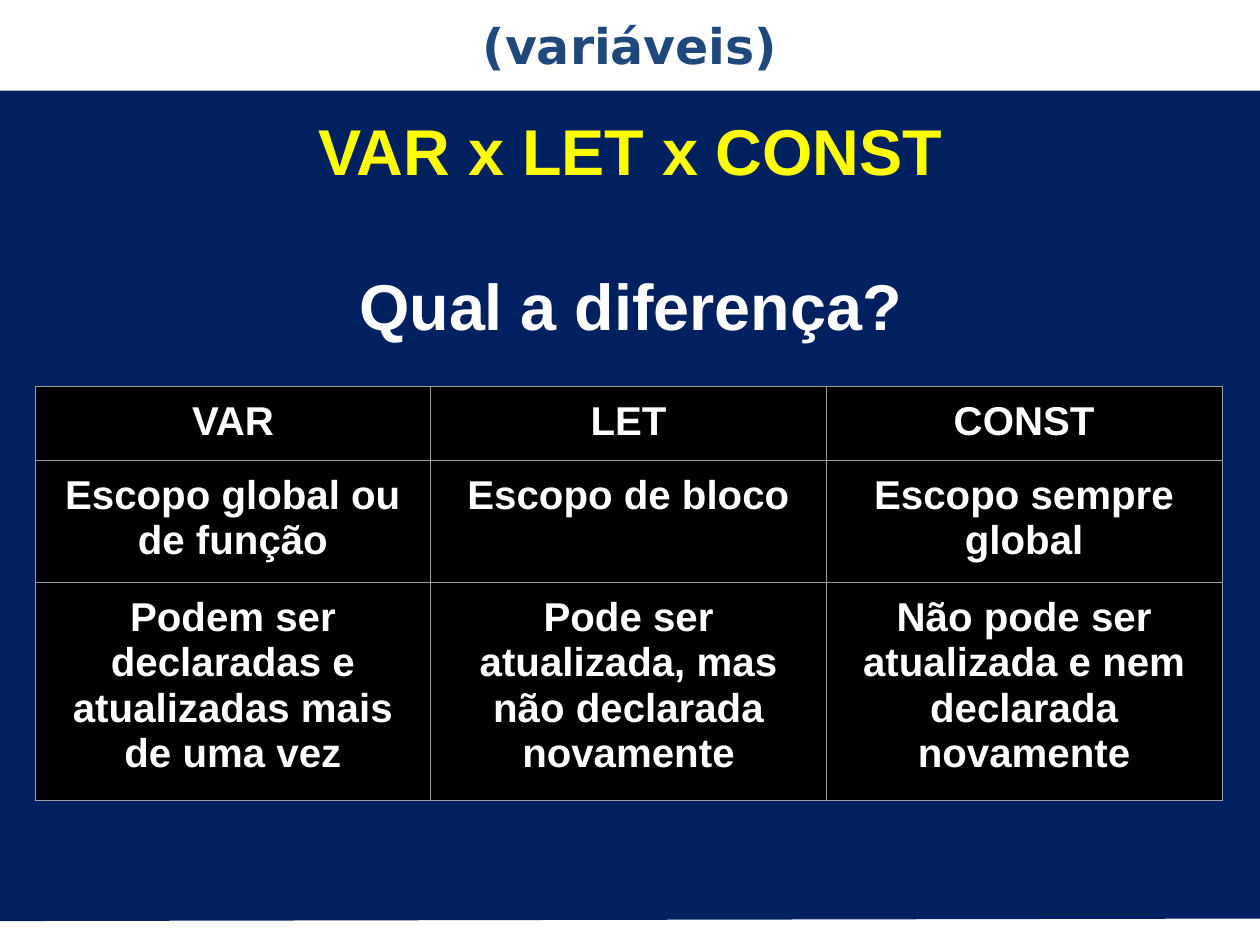
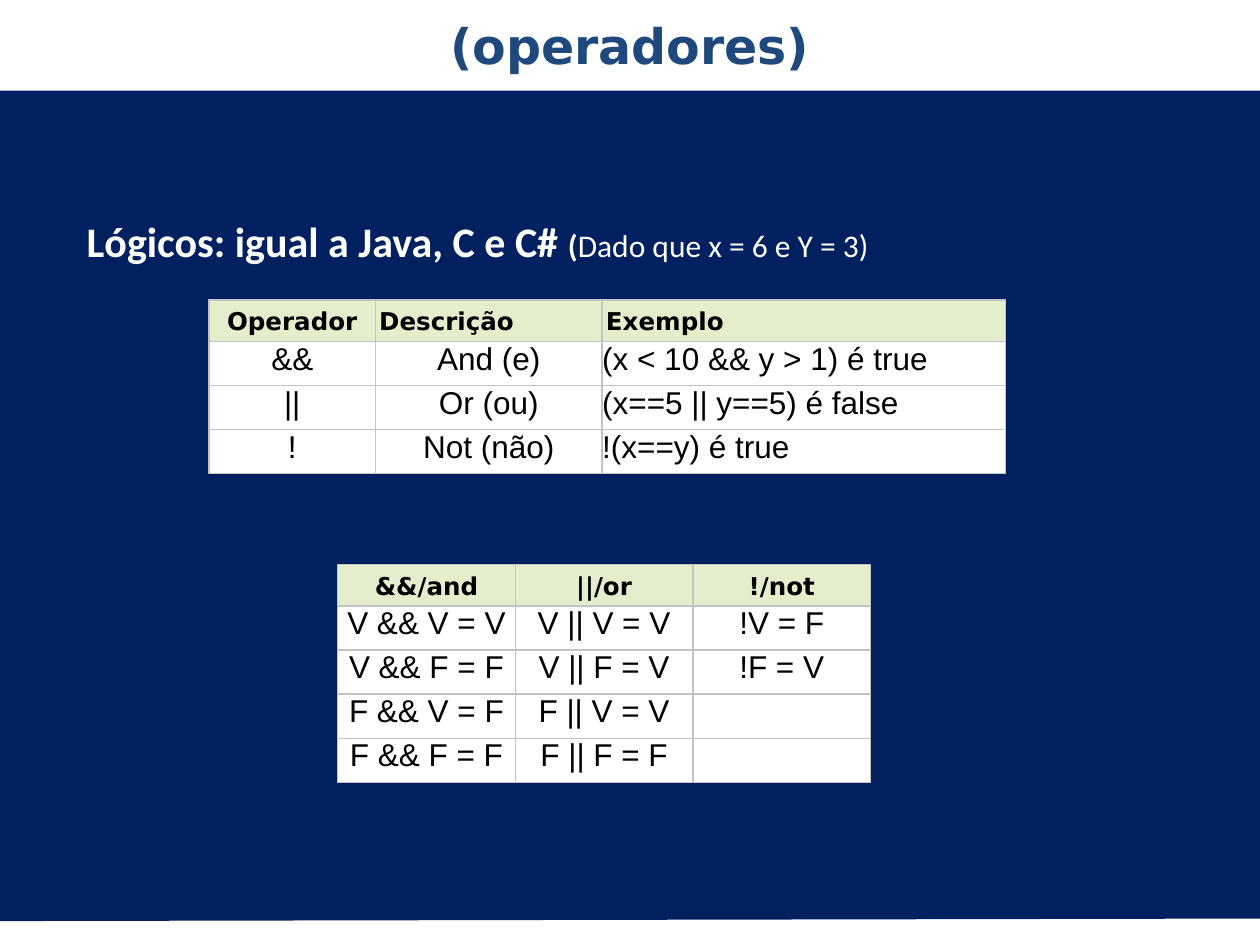
from dataclasses import dataclass, replace

from lxml import etree
from pptx import Presentation
from pptx.dml.color import RGBColor
from pptx.enum.shapes import MSO_SHAPE as Preset
from pptx.enum.text import MSO_ANCHOR as Anchor, PP_ALIGN as Align
from pptx.oxml.ns import qn
from pptx.util import Inches, Pt


@dataclass(frozen=True)
class Theme:
    navy: str = "002060"
    blue: str = "1F497D"
    white: str = "FFFFFF"
    black: str = "000000"
    yellow: str = "FFFF00"
    lime: str = "E5EECC"
    grey: str = "9E9E9E"
    silver: str = "C3C3C3"
    title_size: float = 28
    heading_size: float = 37
    heading_gap: float = 44
    lead_size: float = 24
    table_size: float = 23
    body_size: float = 18
    label_size: float = 14
    band_height: float = 0.72


@dataclass(frozen=True)
class CellStyle:
    fill: str
    font: dict
    margin: float
    spacing: float = 1.0
    aligns: tuple = (Align.CENTER,) * 3


THEME = Theme()


def font_format(name, size, color, bold=False):
    return {"name": name, "size": Pt(size), "bold": bold, "color": color}


TITLE = font_format("DejaVu Sans", THEME.title_size, THEME.blue, True)
HEADING = font_format("Arial", THEME.heading_size, THEME.yellow, True)
QUESTION = HEADING | {"color": THEME.white}
LEAD = font_format("Calibri", THEME.lead_size, THEME.white, True)
LEAD_SMALL = LEAD | {"size": Pt(THEME.body_size)}

DARK_CELL = CellStyle(THEME.black, font_format("Arial", THEME.table_size, THEME.white, True), 0.1)
HEADER_CELL = CellStyle(THEME.lime, font_format("DejaVu Sans", THEME.label_size, THEME.black, True),
                        0.03, 1.15)
BODY_CELL = CellStyle(THEME.white, font_format("Arial", THEME.body_size, THEME.black), 0)


def apply(target, values):
    for name, value in values.items():
        setattr(target, name, value)


def margins(left, top):
    return {"margin_left": Inches(left), "margin_right": Inches(left),
            "margin_top": Inches(top), "margin_bottom": Inches(top)}


def set_borders(cell, color, width):
    props = cell._tc.get_or_add_tcPr()
    for index, side in enumerate(("lnL", "lnR", "lnT", "lnB")):
        line = etree.Element(qn(f"a:{side}"), w=str(Pt(width)))
        fill = etree.SubElement(line, qn("a:solidFill"))
        etree.SubElement(fill, qn("a:srgbClr"), val=color)
        props.insert(index, line)


class SlideBuilder:
    def __init__(self, deck, theme):
        self.deck = deck
        self.theme = theme
        self.page = None

    def new_page(self, title):
        self.page = self.deck.slides.add_slide(self.deck.slide_layouts[6])
        self.solid(self.page.background.fill, self.theme.navy)
        band = self.theme.band_height
        for top in (0, 7.5 - band):
            self.rectangle(0, top, 10, band, self.theme.white)
        self.polygon([(0, 3.19), (10, 5.4), (10, 7.29), (0, 7.31)], self.theme.navy)
        frame = self.text_box(0, 0, 10, band, Anchor.MIDDLE)
        self.fill_para(frame.paragraphs[0], [(title, TITLE)])

    def solid(self, fill, color):
        fill.solid()
        fill.fore_color.rgb = RGBColor.from_string(color)

    def plain(self, shape, color):
        """Fill a shape and take away its outline and shadow."""
        shape.shadow.inherit = False
        self.solid(shape.fill, color)
        shape.line.fill.background()

    def rectangle(self, left, top, width, height, color):
        area = map(Inches, (left, top, width, height))
        self.plain(self.page.shapes.add_shape(Preset.RECTANGLE, *area), color)

    def polygon(self, points, color):
        start, *others = [(Inches(x), Inches(y)) for x, y in points]
        outline = self.page.shapes.build_freeform(*start)
        outline.add_line_segments(others, close=True)
        self.plain(outline.convert_to_shape(), color)

    def text_box(self, left, top, width, height, anchor=Anchor.TOP, inset=0.05):
        area = map(Inches, (left, top, width, height))
        frame = self.page.shapes.add_textbox(*area).text_frame
        apply(frame, {"word_wrap": True, "vertical_anchor": anchor} | margins(0.1, inset))
        return frame

    def fill_para(self, para, spans, **layout):
        """Add (text, font format) spans to a paragraph and lay it out."""
        apply(para, {"alignment": Align.CENTER} | layout)
        for text, values in spans:
            span = para.add_run()
            span.text = text
            apply(span.font, {key: value for key, value in values.items() if key != "color"})
            span.font.color.rgb = RGBColor.from_string(values["color"])

    def table(self, left, top, widths, heights, rows, styles, border):
        """Build a table; styles holds the header style and the body style."""
        area = map(Inches, (left, top, sum(widths), sum(heights)))
        grid = self.page.shapes.add_table(len(rows), len(widths), *area).table
        apply(grid, {"first_row": False, "horz_banding": False})
        for column, width in zip(grid.columns, widths):
            column.width = Inches(width)
        for row, height in zip(grid.rows, heights):
            row.height = Inches(height)
        for row_index, texts in enumerate(rows):
            style = styles[min(row_index, 1)]
            for column_index, text in enumerate(texts):
                cell = grid.cell(row_index, column_index)
                apply(cell, margins(style.margin, style.margin))
                self.solid(cell.fill, style.fill)
                set_borders(cell, *border)
                self.fill_para(cell.text_frame.paragraphs[0], [(text, style.font)] if text else [],
                               alignment=style.aligns[column_index], line_spacing=style.spacing)


def variables_page(builder):
    builder.new_page("(variáveis)")
    frame = builder.text_box(2.35, 0.78, 5.31, 2.07, inset=0.1)
    builder.fill_para(frame.paragraphs[0], [("VAR x LET x CONST", HEADING)])
    builder.fill_para(frame.add_paragraph(), [("Qual a diferença?", QUESTION)],
                      space_before=Pt(THEME.heading_gap))
    rows = [
        ("VAR", "LET", "CONST"),
        ("Escopo global ou de função", "Escopo de bloco", "Escopo sempre global"),
        ("Podem ser declaradas e atualizadas mais de uma vez",
         "Pode ser atualizada, mas não declarada novamente",
         "Não pode ser atualizada e nem declarada novamente"),
    ]
    builder.table(0.28, 3.07, [3.14] * 3, [0.58, 0.97, 1.73], rows,
                  (DARK_CELL, DARK_CELL), (THEME.grey, 0.75))


def operators_page(builder):
    builder.new_page("(operadores)")
    frame = builder.text_box(0.59, 1.38, 8.5, 5.59)
    spans = [("Lógicos: igual a Java, C e C# ", LEAD), ("(", LEAD_SMALL),
             ("Dado que x = 6 e Y = 3)", LEAD_SMALL | {"bold": False})]
    builder.fill_para(frame.paragraphs[0], spans, alignment=Align.JUSTIFY, line_spacing=1.7)

    border = (THEME.silver, 1)
    operators = [
        ("Operador", "Descrição", "Exemplo"),
        ("&&", "And (e)", "(x < 10 && y > 1) é true"),
        ("||", "Or (ou)", "(x==5 || y==5) é false"),
        ("!", "Not (não)", "!(x==y) é true"),
    ]
    header = replace(HEADER_CELL, aligns=(Align.CENTER, Align.LEFT, Align.LEFT))
    body = replace(BODY_CELL, aligns=(Align.CENTER, Align.CENTER, Align.LEFT))
    builder.table(1.66, 2.38, [1.32, 1.8, 3.2], [0.33] + [0.35] * 3, operators,
                  (header, body), border)

    truth_values = [
        ("&&/and", "||/or", "!/not"),
        ("V && V = V", "V || V = V", "!V = F"),
        ("V && F = F", "V || F = V", "!F = V"),
        ("F && V = F", "F || V = V", ""),
        ("F && F = F", "F || F = F", ""),
    ]
    builder.table(2.68, 4.48, [1.41] * 3, [0.33] + [0.35] * 4, truth_values,
                  (HEADER_CELL, BODY_CELL), border)


def main():
    deck = Presentation()
    apply(deck, {"slide_width": Inches(10), "slide_height": Inches(7.5)})
    builder = SlideBuilder(deck, THEME)
    variables_page(builder)
    operators_page(builder)
    deck.save("out.pptx")


if __name__ == "__main__":
    main()
